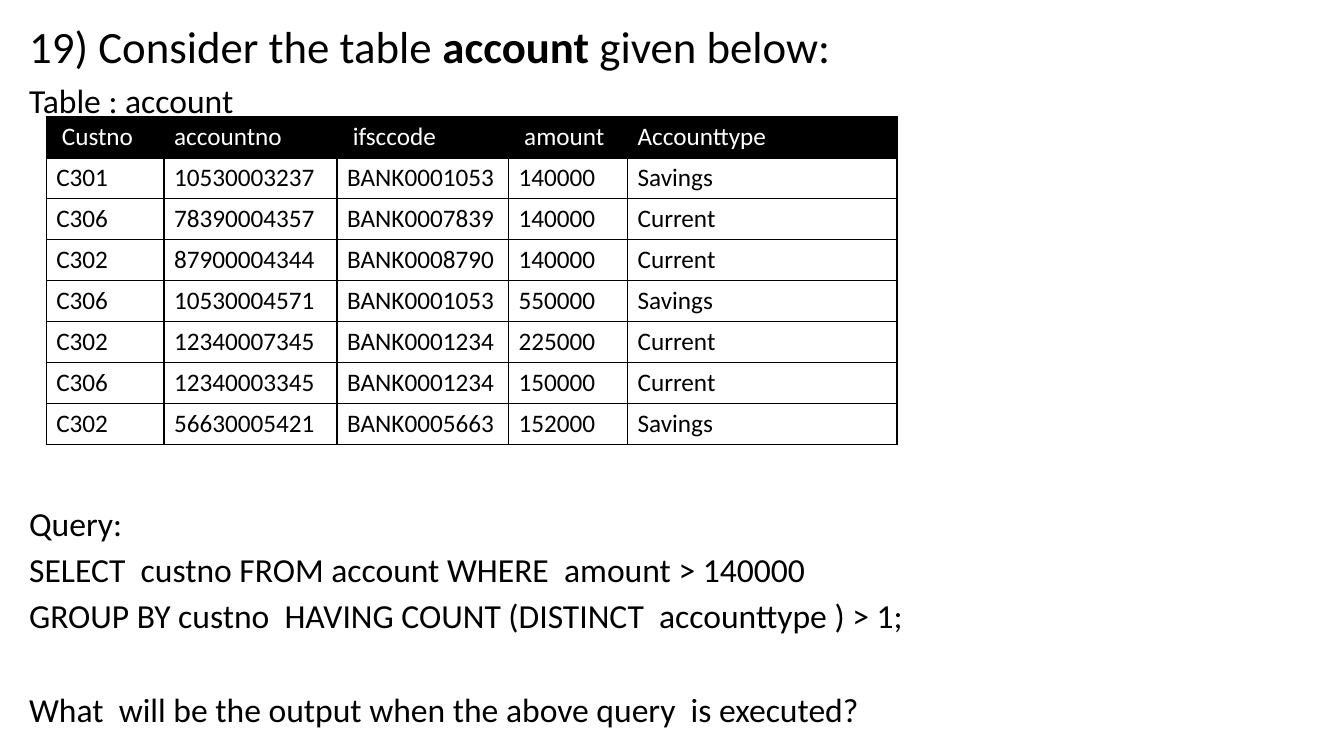
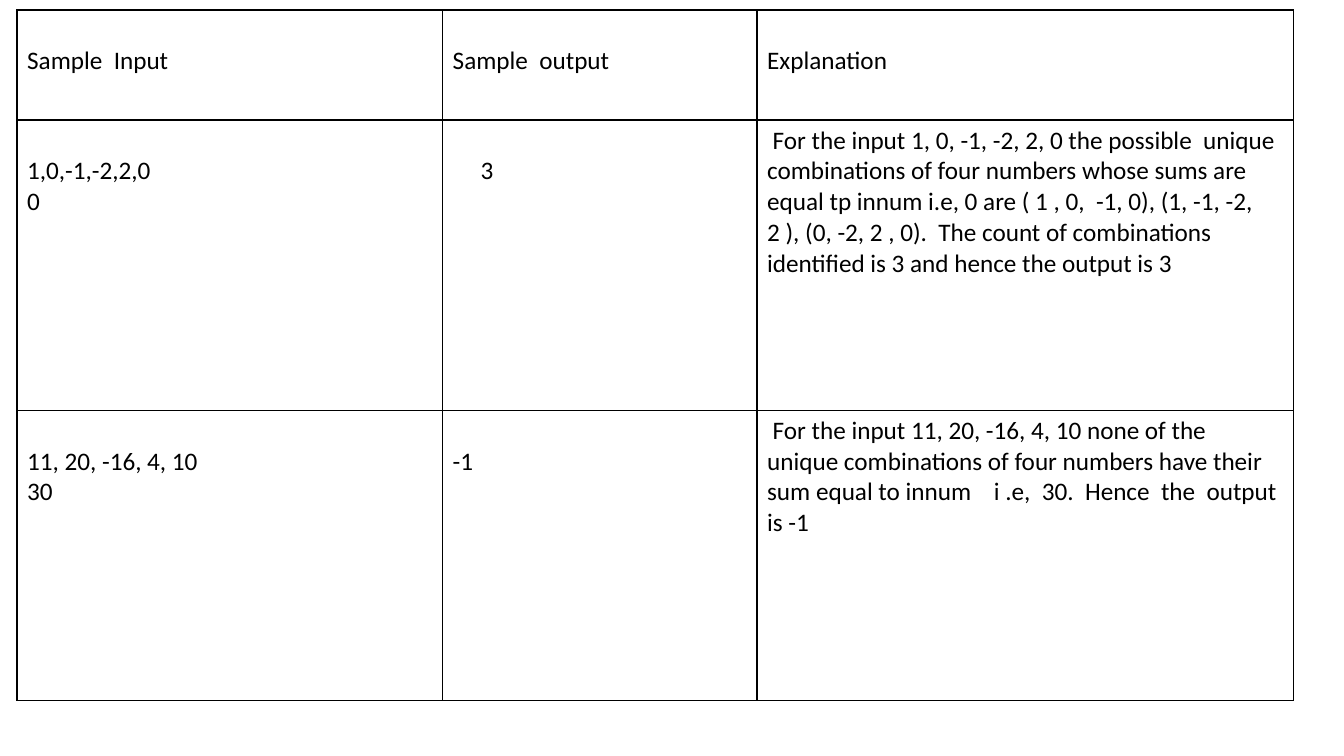
from lxml import etree
from pptx import Presentation
from pptx.dml.color import RGBColor
from pptx.enum import text
from pptx.oxml import ns
from pptx.util import Pt

BLACK = RGBColor(0x00, 0x00, 0x00)
WHITE = RGBColor(0xFF, 0xFF, 0xFF)

ACCOUNTS = [
    ("Custno", "accountno", "ifsccode", "amount", "Accounttype"),
    ("C301", "10530003237", "BANK0001053", "140000", "Savings"),
    ("C306", "78390004357", "BANK0007839", "140000", "Current"),
    ("C302", "87900004344", "BANK0008790", "140000", "Current"),
    ("C306", "10530004571", "BANK0001053", "550000", "Savings"),
    ("C302", "12340007345", "BANK0001234", "225000", "Current"),
    ("C306", "12340003345", "BANK0001234", "150000", "Current"),
    ("C302", "56630005421", "BANK0005663", "152000", "Savings"),
]

SAMPLES = [
    ("Sample  Input", "Sample  output", "Explanation"),
    ("1,0,-1,-2,2,0\n0", "3",
     "For the input 1, 0, -1, -2, 2, 0 the possible  unique combinations of "
     "four numbers whose sums are equal tp innum i.e, 0 are ( 1 , 0,  -1, 0), "
     "(1, -1, -2,  2 ), (0, -2, 2 , 0).  The count of combinations identified "
     "is 3 and hence the output is 3"),
    ("11, 20, -16, 4, 10\n30", "-1",
     "For the input 11, 20, -16, 4, 10 none of the unique combinations of "
     "four numbers have their sum equal to innum    i .e,  30.  Hence  the  "
     "output is -1"),
]


class SlideWriter:
    """Holds the shared style and the slide being filled."""

    font = "Calibri"
    title_size, body_size, cell_size = 32, 24, 18
    left, width = 13.7, 929.5
    line_gap = 4.3
    cell_line = 22
    word_indent = 4

    def __init__(self):
        self.deck = Presentation()
        self.deck.slide_width, self.deck.slide_height = Pt(960), Pt(540)
        self.page = None

    def new_page(self, layout):
        self.page = self.deck.slides.add_slide(self.deck.slide_layouts[layout])

    def style(self, para, size, color=BLACK):
        para.alignment = text.PP_ALIGN.LEFT
        for span in para.runs:
            span.font.name = self.font
            span.font.size = Pt(size)
            span.font.color.rgb = color

    def place(self, box, top, height):
        box.left, box.top = Pt(self.left), Pt(top)
        box.width, box.height = Pt(self.width), Pt(height)
        frame = box.text_frame
        frame.word_wrap = True
        frame.auto_size = text.MSO_AUTO_SIZE.NONE
        frame.vertical_anchor = text.MSO_ANCHOR.TOP
        return frame

    def title(self, parts, top, height):
        """Fill the title from (words, bold) pairs."""
        para = self.place(self.page.shapes.title, top, height).paragraphs[0]
        for words, bold in parts:
            span = para.add_run()
            span.text = words
            span.font.bold = bold
        self.style(para, self.title_size)

    def body(self, lines, top, height, last_gap=None):
        """Write lines of body text; last_gap sets the last one apart."""
        box = self.page.shapes.add_textbox(0, 0, 0, 0)
        frame = self.place(box, top, height)
        frame.text = "\n".join(lines)
        for para in frame.paragraphs:
            self.style(para, self.body_size)
        for para in frame.paragraphs[1:]:
            para.space_before = Pt(self.line_gap)
        if last_gap:
            frame.paragraphs[-1].space_before = Pt(last_gap)

    def border(self, cell):
        properties = cell._tc.get_or_add_tcPr()
        for side in ("lnL", "lnR", "lnT", "lnB"):
            line = etree.SubElement(properties, ns.qn("a:" + side), w=str(Pt(1)))
            fill = etree.SubElement(line, ns.qn("a:solidFill"))
            etree.SubElement(fill, ns.qn("a:srgbClr"), val=str(BLACK))

    def table(self, rows, left, top, widths, heights, indents, dropped=(),
              dark_header=False):
        """Draw a bordered grid.

        indents maps (row, column) to a first-line indent; cells in dropped
        start one line lower.
        """
        grid = self.page.shapes.add_table(
            len(rows), len(widths), Pt(left), Pt(top),
            Pt(sum(widths)), Pt(sum(heights))).table
        grid.first_row = grid.horz_banding = False
        for column, width in zip(grid.columns, widths):
            column.width = Pt(width)
        for row, height in zip(grid.rows, heights):
            row.height = Pt(height)
        for r, words in enumerate(rows):
            for c, word in enumerate(words):
                cell = grid.cell(r, c)
                cell.text_frame.text = word
                dark = dark_header and r == 0
                for para in cell.text_frame.paragraphs:
                    self.style(para, self.cell_size, WHITE if dark else BLACK)
                    indent = Pt(indents.get((r, c), 0))
                    para._p.get_or_add_pPr().set("indent", str(indent))
                if (r, c) in dropped:
                    cell.margin_top = Pt(3.6 + self.cell_line)
                self.border(cell)
                if dark:
                    cell.fill.solid()
                    cell.fill.fore_color.rgb = BLACK
                else:
                    cell.fill.background()


def account_question(writer):
    writer.new_page(5)
    writer.title([("19) Consider the table ", False), ("account", True),
                  (" given below:", False)], top=10, height=46)
    writer.body(["Table : account"], top=53.4, height=36)
    writer.body(["Query:",
                 "SELECT  custno FROM account WHERE  amount > 140000",
                 "GROUP BY custno  HAVING COUNT (DISTINCT  accounttype ) > 1;",
                 "What  will be the output when the above query  is executed?"],
                top=355.5, height=171, last_gap=37.9)
    writer.table(ACCOUNTS, 33, 83.5, [84.2, 123.6, 122.5, 85, 192.5],
                 [29.3] * len(ACCOUNTS),
                 {(0, c): writer.word_indent for c in (0, 2, 3)},
                 dark_header=True)


def sample_cases(writer):
    writer.new_page(6)
    explanations = {(1, 2), (2, 2)}
    cells = {(r, c) for r in range(3) for c in range(3)}
    indents = {cell: writer.word_indent for cell in explanations}
    indents[1, 1] = 5 * writer.word_indent
    writer.table(SAMPLES, 12.2, 7.2, [304, 224.6, 383], [78.5, 207.4, 207.4],
                 indents, dropped=cells - explanations)


def main():
    writer = SlideWriter()
    account_question(writer)
    sample_cases(writer)
    writer.deck.save("out.pptx")


if __name__ == "__main__":
    main()
